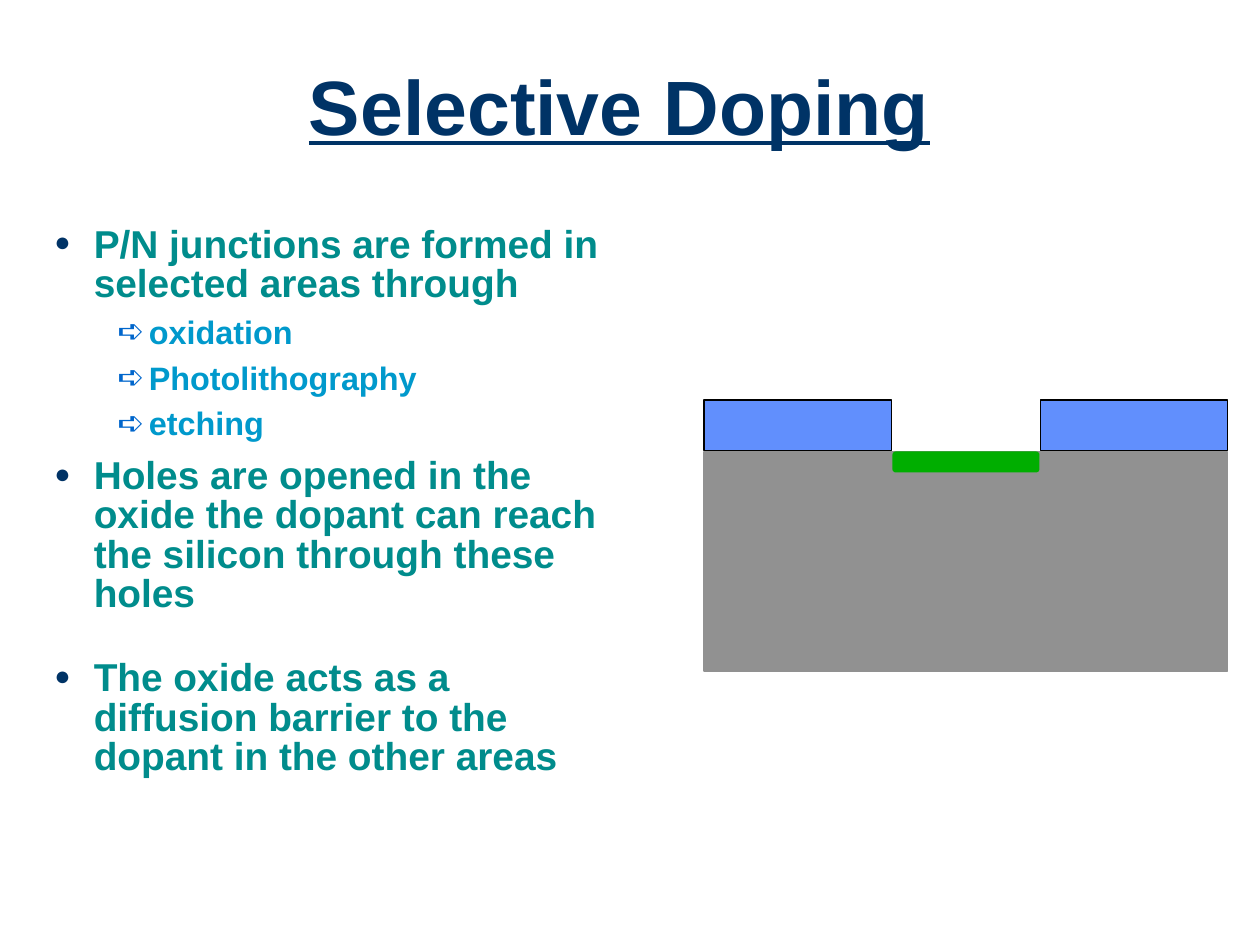
from dataclasses import dataclass

from lxml.etree import SubElement
from pptx import Presentation
from pptx.dml.color import RGBColor
from pptx.enum.shapes import MSO_SHAPE as Shape
from pptx.enum.text import MSO_ANCHOR as Anchor, PP_ALIGN as Align
from pptx.oxml.ns import qn
from pptx.util import Pt

NAVY, TEAL, SKY, BLUE = "003366", "008C8C", "0099CC", "0066CC"
GREY, OXIDE, BLACK, GREEN = "919191", "618FFD", "000000", "00AE00"


@dataclass(frozen=True)
class Bullet:
    char: str
    color: str
    percent: int
    left: float
    hang: float
    level: int


@dataclass(frozen=True)
class Item:
    text: str
    bullet: Bullet
    size: float
    color: str
    before: float


@dataclass(frozen=True)
class Layer:
    kind: Shape
    left: float
    top: float
    width: float
    height: float
    fill: str
    line: str


def rgb(color: str) -> RGBColor:
    return RGBColor.from_string(color)


def add_bullet(para, bullet: Bullet) -> None:
    para.level = bullet.level
    props = para._p.get_or_add_pPr()
    props.set("marL", str(Pt(bullet.left)))
    props.set("indent", str(-Pt(bullet.hang)))
    color = SubElement(props, qn("a:buClr"))
    SubElement(color, qn("a:srgbClr"), val=bullet.color)
    SubElement(props, qn("a:buSzPct"), val=str(bullet.percent * 1000))
    SubElement(props, qn("a:buFont"), typeface="Arial")
    SubElement(props, qn("a:buChar"), char=bullet.char)


def write(para, text: str, *, size: float, color: str, spacing: float,
          before: float = 0, underline: bool = False,
          align: Align = Align.LEFT) -> None:
    para.alignment = align
    para.line_spacing = spacing
    para.space_before = Pt(before)
    span = para.add_run()
    span.text = text
    font = span.font
    font.name, font.size, font.bold = "Arial", Pt(size), True
    font.underline = underline
    font.color.rgb = rgb(color)


def add_box(page, left: float, top: float, width: float, height: float,
            anchor: Anchor):
    frame = page.shapes.add_textbox(
        Pt(left), Pt(top), Pt(width), Pt(height)).text_frame
    frame.word_wrap = True
    frame.vertical_anchor = anchor
    return frame


def add_layer(page, layer: Layer) -> None:
    shape = page.shapes.add_shape(layer.kind, Pt(layer.left), Pt(layer.top),
                                  Pt(layer.width), Pt(layer.height))
    shape.shadow.inherit = False
    shape.fill.solid()
    shape.fill.fore_color.rgb = rgb(layer.fill)
    shape.line.color.rgb = rgb(layer.line)
    shape.line.width = Pt(1)
    if layer.kind == Shape.ROUNDED_RECTANGLE:
        shape.adjustments[0] = 0.125


DOT = Bullet("●", NAVY, 70, 22.5, 22.5, 0)
ARROW = Bullet("➪", BLUE, 100, 54, 18, 1)


def point(text: str, before: float = 9) -> Item:
    return Item(text, DOT, 22.2, TEAL, before)


def step(text: str) -> Item:
    return Item(text, ARROW, 18.5, SKY, 7.5)


ITEMS = [
    point("P/N junctions are formed in selected areas through", before=0),
    step("oxidation"),
    step("Photolithography"),
    step("etching"),
    point("Holes are opened in the oxide the dopant can reach "
          "the silicon through these holes"),
    point("The oxide acts as a diffusion barrier to the dopant "
          "in the other areas", before=26),
]

# Wafer cross-section: silicon, two oxide blocks, doped window
SILICON_LEFT, SILICON_TOP = 402.5, 258.5
OXIDE_TOP, OXIDE_WIDTH, OXIDE_HEIGHT = 228.5, 107, 29
LAYERS = [
    Layer(Shape.RECTANGLE, SILICON_LEFT, SILICON_TOP, 299, 125, GREY, GREY),
    *(Layer(Shape.RECTANGLE, left, OXIDE_TOP, OXIDE_WIDTH, OXIDE_HEIGHT,
            OXIDE, BLACK) for left in (SILICON_LEFT, SILICON_LEFT + 192)),
    Layer(Shape.ROUNDED_RECTANGLE, 510.5, SILICON_TOP, 83, 11, GREEN, GREEN),
]


def main() -> None:
    deck = Presentation()
    deck.slide_width, deck.slide_height = Pt(720), Pt(540)
    page = deck.slides.add_slide(deck.slide_layouts[6])

    # Title
    title = add_box(page, 18, 18, 672, 90, Anchor.MIDDLE)
    write(title.paragraphs[0], "Selective Doping", size=44, color=NAVY,
          spacing=0.9, underline=True, align=Align.CENTER)

    # Bulleted text
    body = add_box(page, 24, 126, 329, 324, Anchor.TOP)
    for index, item in enumerate(ITEMS):
        para = body.add_paragraph() if index else body.paragraphs[0]
        add_bullet(para, item.bullet)
        write(para, item.text, size=item.size, color=item.color,
              spacing=0.84, before=item.before)

    # Diagram
    for layer in LAYERS:
        add_layer(page, layer)

    deck.save("out.pptx")


if __name__ == "__main__":
    main()
